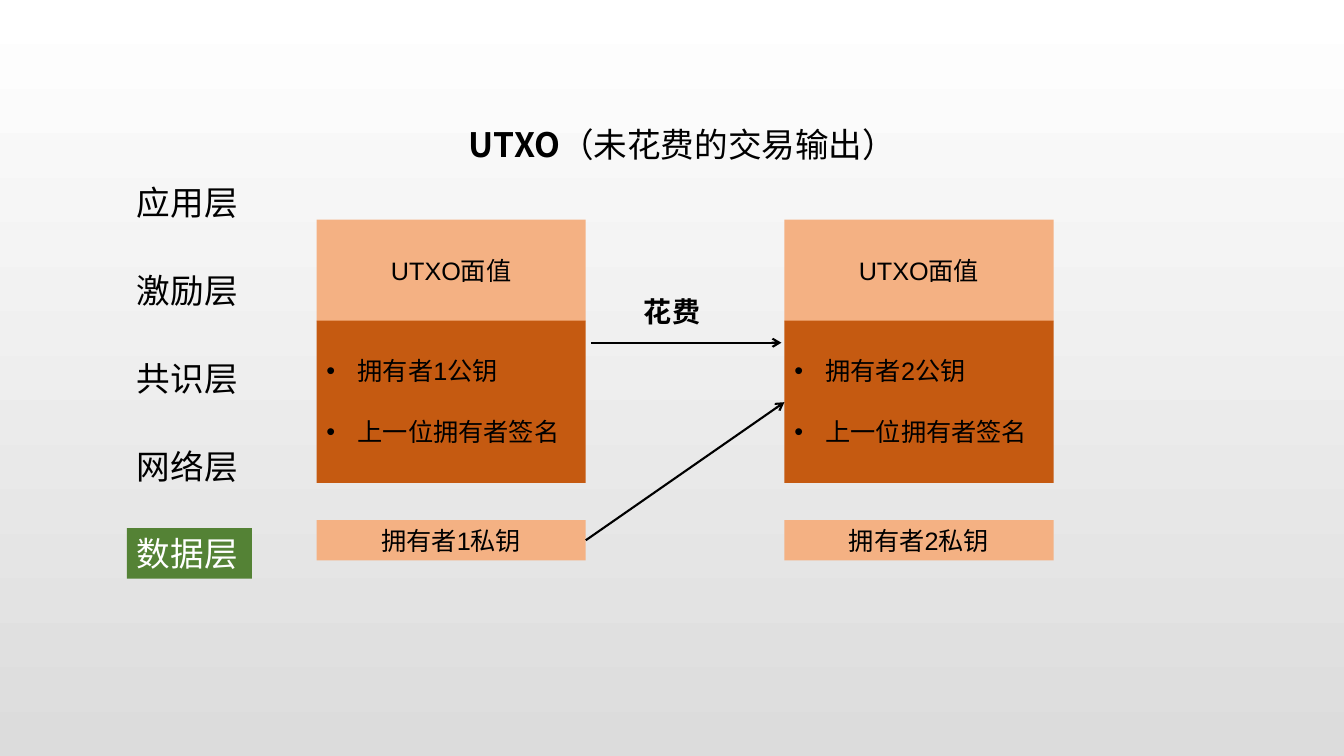
from dataclasses import dataclass

from lxml.etree import SubElement
from pptx import Presentation
from pptx.dml.color import RGBColor
from pptx.enum.shapes import MSO_CONNECTOR, MSO_SHAPE
from pptx.enum.text import MSO_ANCHOR, PP_ALIGN
from pptx.oxml.ns import qn
from pptx.util import Inches, Pt


@dataclass(frozen=True)
class Theme:
    font: str = "Arial"
    cjk_font: str = "Noto Sans CJK SC"
    ink: str = "000000"
    white: str = "FFFFFF"
    bg_end: str = "DCDCDC"
    light: str = "F4B183"
    dark: str = "C55A11"
    active: str = "548235"
    title_size: int = 24
    label_size: int = 20
    body_size: int = 18
    line_width: float = 1.5


T = Theme()


def rgb(value):
    return RGBColor.from_string(value)


def set_background(s):
    fill = s.background.fill
    fill.gradient()
    fill.gradient_angle = 270
    for stop, color in zip(fill.gradient_stops, (T.white, T.bg_end)):
        stop.color.rgb = rgb(color)


def add_run(p, text, size=T.body_size, color=T.ink, font=T.font, bold=False, spacing=None):
    r = p.add_run()
    r.text = text
    f = r.font
    f.name, f.size, f.bold = font, Pt(size), bold
    f.color.rgb = rgb(color)
    rPr = r._r.get_or_add_rPr()
    SubElement(rPr, qn("a:ea"), typeface=T.cjk_font)
    if spacing is not None:
        rPr.set("spc", str(int(spacing * 100)))


def add_label(s, x, y, w, h, *runs):
    """Place a text box; each run is a (text, format) pair."""
    tf = s.shapes.add_textbox(Inches(x), Inches(y), Inches(w), Inches(h)).text_frame
    tf.word_wrap = True
    for text, fmt in runs:
        add_run(tf.paragraphs[0], text, **fmt)


def add_block(s, x, y, w, h, fill):
    sp = s.shapes.add_shape(MSO_SHAPE.RECTANGLE, Inches(x), Inches(y), Inches(w), Inches(h))
    sp.shadow.inherit = False
    sp.fill.solid()
    sp.fill.fore_color.rgb = rgb(fill)
    sp.line.fill.background()
    tf = sp.text_frame
    tf.word_wrap = True
    return tf


def add_text_block(s, x, y, w, h, fill, text, align=PP_ALIGN.CENTER, **fmt):
    tf = add_block(s, x, y, w, h, fill)
    tf.vertical_anchor = MSO_ANCHOR.MIDDLE
    tf.paragraphs[0].alignment = align
    add_run(tf.paragraphs[0], text, **fmt)


def add_bullet_block(s, x, y, w, h, fill, items):
    tf = add_block(s, x, y, w, h, fill)
    tf.vertical_anchor = MSO_ANCHOR.TOP
    for i, item in enumerate(items):
        p = tf.paragraphs[0] if i == 0 else tf.add_paragraph()
        p.alignment = PP_ALIGN.LEFT
        p.line_spacing = 2.0
        pPr = p._p.get_or_add_pPr()
        indent = Inches(0.31)
        pPr.set("marL", str(indent))
        pPr.set("indent", str(-indent))
        SubElement(pPr, qn("a:buFont"), typeface=T.font)
        SubElement(pPr, qn("a:buChar"), char="•")
        add_run(p, item)


def add_arrow(s, x1, y1, x2, y2):
    c = s.shapes.add_connector(
        MSO_CONNECTOR.STRAIGHT, Inches(x1), Inches(y1), Inches(x2), Inches(y2))
    c.line.color.rgb = rgb(T.ink)
    c.line.width = Pt(T.line_width)
    SubElement(c.line._get_or_add_ln(), qn("a:tailEnd"), type="arrow")
    SubElement(c._element.spPr, qn("a:effectLst"))


def add_layers(s, layers, active):
    x, top, w, h, pitch = 1.26, 1.76, 1.24, 0.5, 0.87
    for i, layer in enumerate(layers):
        y = top + i * pitch
        if layer == active:
            add_text_block(s, x, y, w, h, T.active, layer, align=PP_ALIGN.LEFT,
                           size=T.title_size, color=T.white)
        else:
            add_label(s, x, y, w, h, (layer, {"size": T.title_size}))


def add_utxo(s, x, w, owner):
    add_text_block(s, x, 2.18, w, 1.01, T.light, "UTXO面值")
    add_bullet_block(s, x, 3.18, w, 1.61, T.dark, [f"拥有者{owner}公钥", "上一位拥有者签名"])
    add_text_block(s, x, 5.16, w, 0.4, T.light, f"拥有者{owner}私钥")


def main():
    prs = Presentation()
    prs.slide_width, prs.slide_height = Inches(13.33), Inches(7.5)
    s = prs.slides.add_slide(prs.slide_layouts[6])
    set_background(s)

    # Blockchain layers and title
    add_layers(s, ["应用层", "激励层", "共识层", "网络层", "数据层"], active="数据层")
    title = {"size": T.title_size, "font": T.cjk_font}
    add_label(s, 4.55, 1.18, 4.81, 0.5,
              ("UTXO", {**title, "bold": True}), ("（未花费的交易输出）", title))

    # Spent output and the output it creates
    width, left, right = 2.67, 3.14, 7.78
    for owner, x in enumerate((left, right), start=1):
        add_utxo(s, x, width, owner)

    # Spending and signing arrows
    add_arrow(s, 5.86, 3.4, 7.75, 3.4)
    add_arrow(s, left + width, 5.36, right, 3.99)
    add_label(s, 6.28, 2.87, 0.88, 0.44,
              ("花费", {"size": T.label_size, "bold": True, "spacing": 1}))

    prs.save("out.pptx")


main()
